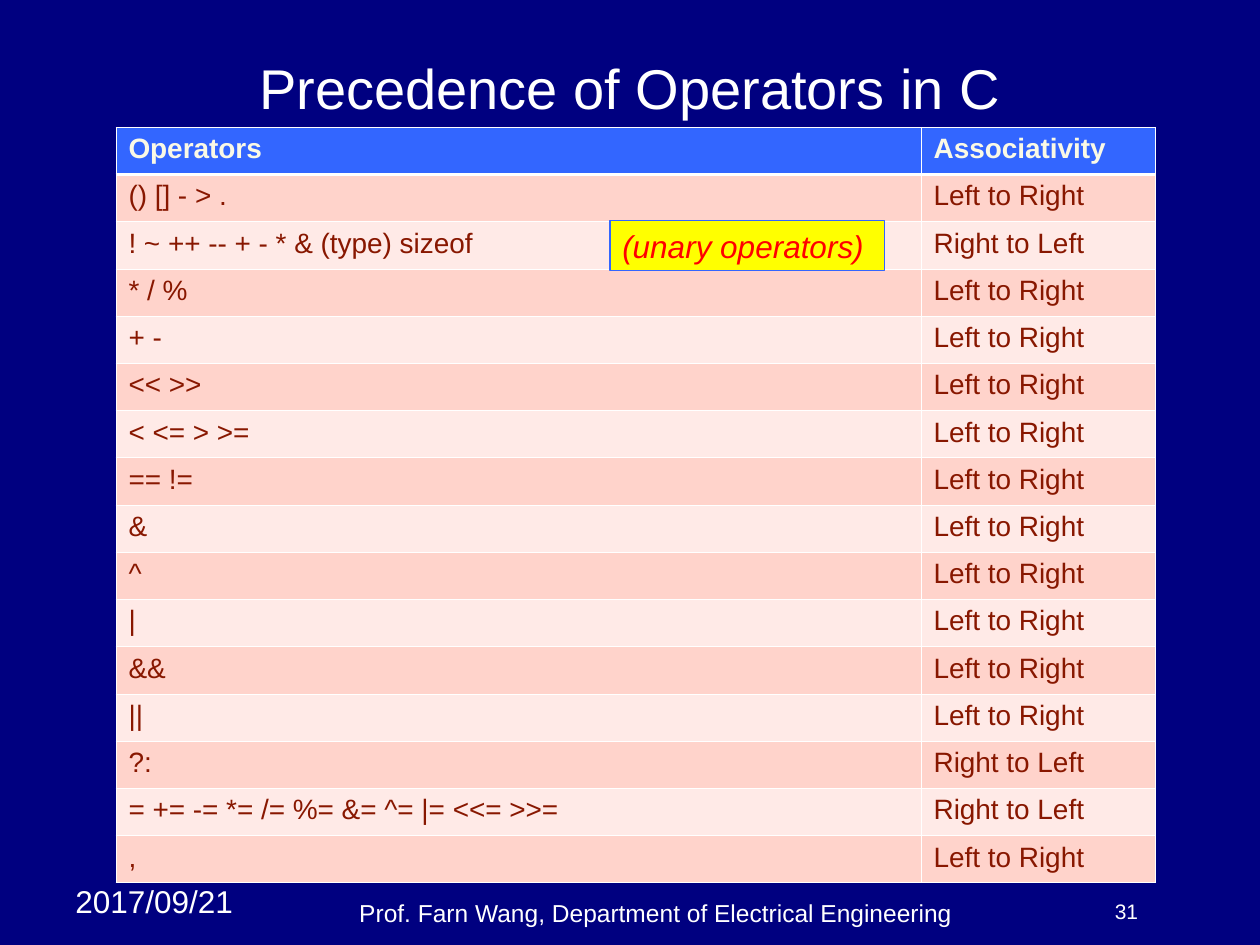
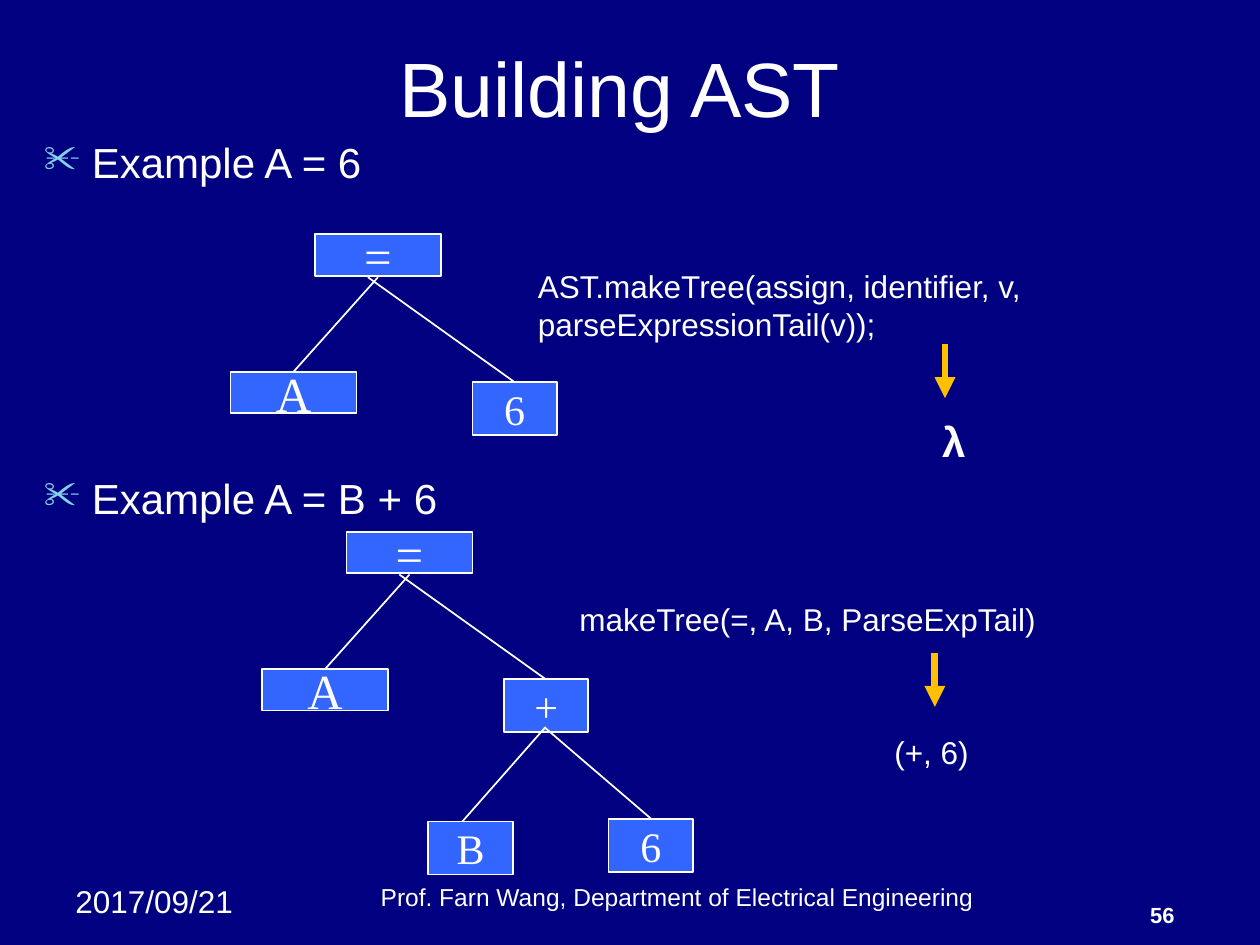
"""Build two lecture slides: C operator precedence and AST construction."""
import pptx
import pptx.dml.color
import pptx.enum.shapes
import pptx.enum.text
import pptx.oxml
import pptx.oxml.ns
import pptx.util
from lxml import etree

Inches, Pt = pptx.util.Inches, pptx.util.Pt
Align, Anchor = pptx.enum.text.PP_ALIGN, pptx.enum.text.MSO_ANCHOR

COLOURS = {
    "background": "000080", "text": "FFFFFF", "accent": "3366FF",
    "header": "FAF9E6", "cell": "881700", "odd": "FFD3CB", "even": "FFEAE7",
    "note": "FFFF00", "note text": "FF0000", "bullet": "86D1EC", "arrow": "FFC000",
}
DATE = "2017/09/21"
FOOTER = "Prof. Farn Wang, Department of Electrical Engineering"
LTR, RTL = "Left to Right", "Right to Left"
PRECEDENCE = [
    ("Operators", "Associativity"),
    ("() [] - > .", LTR),
    ("! ~ ++ -- + - * & (type) sizeof", RTL),
    ("* / %", LTR),
    ("+ -", LTR),
    ("<< >>", LTR),
    ("< <= > >=", LTR),
    ("== !=", LTR),
    ("&", LTR),
    ("^", LTR),
    ("|", LTR),
    ("&&", LTR),
    ("||", LTR),
    ("?:", RTL),
    ("= += -= *= /= %= &= ^= |= <<= >>=", RTL),
    (",", LTR),
]
COLUMN_WIDTHS = (6.39, 1.86)
ROW_HEIGHT = 0.375

EXAMPLES = [("Example A = 6", 0), ("Example A = B + 6", 166)]
WIDE, SMALL = (1, 0.33, 28), (0.67, 0.42, 24)
ASSIGNMENTS = [
    ((2.5, 1.86), "6"),
    ((2.75, 4.22), "+"),
]
ADDENDS = [("6", 4.83, 6.5), ("B", 3.4, 6.52)]
ADDEND_BRANCHES = [((4.33, 5.77), (3.67, 6.52)), ((4.33, 5.78), (5.17, 6.5))]
CALLS = [
    ((4.17, 2.07, 5, 0.7), "AST.makeTree(assign, identifier, v, parseExpressionTail(v));"),
    ((4.5, 4.71, 5, 0.4), "makeTree(=, A, B, ParseExpTail)"),
    ((7, 5.77, 1, 0.4), "(+, 6)"),
]
CALL_ARROWS = [(7.5, 2.73), (7.42, 5.18)]
ARROW_LENGTH = 0.43


def rgb(colour):
    return pptx.dml.color.RGBColor.from_string(COLOURS[colour])


def inches(values):
    return [Inches(value) for value in values]


def add_run(paragraph, words, size, colour="text", bold=False, italic=False, face="Arial"):
    run = paragraph.add_run()
    run.text = words
    font = run.font
    font.name, font.size, font.bold, font.italic = face, Pt(size), bold, italic
    font.color.rgb = rgb(colour)


def write(frame, words, size, align=Align.LEFT, anchor=Anchor.TOP, wrap=True, **style):
    frame.word_wrap = wrap
    frame.vertical_anchor = anchor
    paragraph = frame.paragraphs[0]
    paragraph.alignment = align
    add_run(paragraph, words, size, **style)


def add_text(slide, place, words, size, **style):
    write(slide.shapes.add_textbox(*inches(place)).text_frame, words, size, **style)


def add_box(slide, place, words, size, fill, edge, edge_width, **style):
    box = slide.shapes.add_shape(pptx.enum.shapes.MSO_SHAPE.RECTANGLE, *inches(place))
    box.shadow.inherit = False
    box.fill.solid()
    box.fill.fore_color.rgb = rgb(fill)
    box.line.color.rgb = rgb(edge)
    box.line.width = Pt(edge_width)
    write(box.text_frame, words, size, wrap=False, **style)


def add_line(slide, start, end, colour="text", width=1, arrow=False):
    line = slide.shapes.add_connector(
        pptx.enum.shapes.MSO_CONNECTOR.STRAIGHT, *inches(start + end))
    line.line.color.rgb = rgb(colour)
    line.line.width = Pt(width)
    properties = line._element.spPr
    if arrow:
        etree.SubElement(properties.find(pptx.oxml.ns.qn("a:ln")),
                         pptx.oxml.ns.qn("a:tailEnd"), type="triangle")
    etree.SubElement(properties, pptx.oxml.ns.qn("a:effectLst"))


def add_slide(deck, title, title_place, title_size, footer_place):
    slide = deck.slides.add_slide(deck.slide_layouts[5])
    heading = slide.shapes.title
    heading.left, heading.top, heading.width, heading.height = inches(title_place)
    heading.text_frame.auto_size = pptx.enum.text.MSO_AUTO_SIZE.NONE
    write(heading.text_frame, title, title_size, align=Align.CENTER, anchor=Anchor.MIDDLE)
    add_text(slide, (0.5, 6.95, 1.58, 0.4), DATE, 18)
    add_text(slide, footer_place, FOOTER, 14, align=Align.CENTER, anchor=Anchor.BOTTOM)
    return slide


def add_number(slide, number, size, **style):
    add_text(slide, (8.75, 7.08, 0.67, 0.33), number, size, **style)


def add_borders(cell, top, bottom):
    properties = cell._tc.get_or_add_tcPr()
    for index, (side, width) in enumerate(
            (("L", 0.45), ("R", 0.45), ("T", top), ("B", bottom))):
        properties.insert(index, pptx.oxml.parse_xml(
            f'<a:ln{side} {pptx.oxml.ns.nsdecls("a")} w="{Pt(width)}"><a:solidFill>'
            f'<a:srgbClr val="{COLOURS["text"]}"/></a:solidFill></a:ln{side}>'))


def add_precedence_table(slide):
    table = slide.shapes.add_table(
        len(PRECEDENCE), len(COLUMN_WIDTHS), Inches(0.92), Inches(1.01),
        Inches(sum(COLUMN_WIDTHS)), Inches(ROW_HEIGHT * len(PRECEDENCE))).table
    for column, width in zip(table.columns, COLUMN_WIDTHS):
        column.width = Inches(width)
    for level, entries in enumerate(PRECEDENCE):
        table.rows[level].height = Inches(ROW_HEIGHT)
        header = level == 0
        fill = "accent" if header else "odd" if level % 2 else "even"
        for column, words in enumerate(entries):
            cell = table.cell(level, column)
            cell.fill.solid()
            cell.fill.fore_color.rgb = rgb(fill)
            add_borders(cell, 1.47 if level == 1 else 0.45, 1.47 if header else 0.45)
            add_run(cell.text_frame.paragraphs[0], words, 16,
                    colour="header" if header else "cell", bold=header)


def add_examples(slide):
    frame = slide.shapes.add_textbox(*inches((0.25, 1.08, 9.58, 5.5))).text_frame
    frame.word_wrap = True
    for index, (words, gap) in enumerate(EXAMPLES):
        paragraph = frame.add_paragraph() if index else frame.paragraphs[0]
        properties = paragraph._p.get_or_add_pPr()
        properties.set("marL", str(Inches(0.38)))
        properties.set("indent", str(-Inches(0.38)))
        colour = etree.SubElement(properties, pptx.oxml.ns.qn("a:buClr"))
        etree.SubElement(colour, pptx.oxml.ns.qn("a:srgbClr"), val=COLOURS["bullet"])
        etree.SubElement(properties, pptx.oxml.ns.qn("a:buSzPct"), val="90000")
        etree.SubElement(properties, pptx.oxml.ns.qn("a:buChar"), char="✂")
        paragraph.line_spacing = 0.9
        if gap:
            paragraph.space_before = Pt(gap)
        add_run(paragraph, words, 24)


def add_node(slide, label, left, top, kind):
    width, height, size = kind
    add_box(slide, (left, top, width, height), label, size, "accent", "text", 1,
            align=Align.CENTER, anchor=Anchor.MIDDLE, face="Times New Roman")


def add_assignment(slide, root, right_label):
    left, top = root
    add_node(slide, "=", left, top, WIDE)
    add_node(slide, "A", left - 0.67, top + 1.09, WIDE)
    add_node(slide, right_label, left + 1.25, top + 1.17, SMALL)
    add_line(slide, (left + 0.5, top + 0.34), (left - 0.17, top + 1.09))
    add_line(slide, (left + 0.42, top + 0.34), (left + 1.58, top + 1.17))


def build_precedence(deck):
    slide = add_slide(deck, "Precedence of Operators in C", (0.5, 0.39, 9, 0.61), 32,
                      (1.83, 7.08, 6.75, 0.33))
    add_number(slide, "31", 12)
    add_precedence_table(slide)
    add_box(slide, (4.84, 1.75, 2.18, 0.4), "(unary operators)", 18, "note", "accent", 0.75,
            colour="note text", italic=True)


def build_ast(deck):
    slide = add_slide(deck, "Building AST ", (0.5, 0.3, 9, 0.78), 44,
                      (2, 6.95, 6.75, 0.33))
    add_number(slide, "56", 12.5, align=Align.RIGHT, anchor=Anchor.BOTTOM, bold=True)
    add_examples(slide)
    for root, right_label in ASSIGNMENTS:
        add_assignment(slide, root, right_label)
    for label, left, top in ADDENDS:
        add_node(slide, label, left, top, SMALL)
    for start, end in ADDEND_BRANCHES:
        add_line(slide, start, end)
    for place, call in CALLS:
        add_text(slide, place, call, 18)
    add_text(slide, (7.07, 3.25, 1, 0.5), "λ", 24, align=Align.CENTER, bold=True)
    for left, top in CALL_ARROWS:
        add_line(slide, (left, top), (left, top + ARROW_LENGTH), "arrow", 4, arrow=True)


def main():
    deck = pptx.Presentation()
    deck.slide_width, deck.slide_height = Inches(10), Inches(7.5)
    backdrop = deck.slide_master.background.fill
    backdrop.solid()
    backdrop.fore_color.rgb = rgb("background")
    build_precedence(deck)
    build_ast(deck)
    deck.save("out.pptx")


if __name__ == "__main__":
    main()
